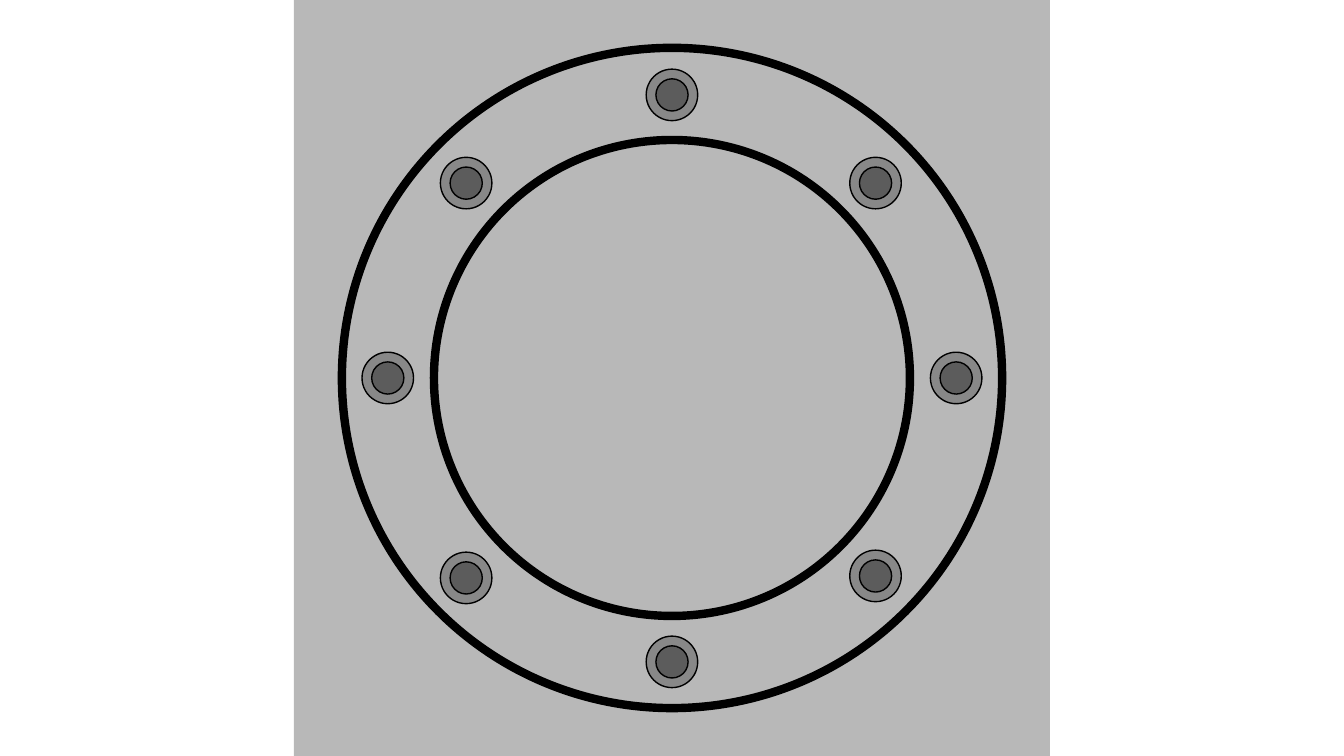
from pptx import Presentation
from pptx.dml.color import RGBColor
from pptx.enum.shapes import MSO_SHAPE
from pptx.util import Pt

PLATE_GREY = RGBColor(0xB8, 0xB8, 0xB8)
BOLT_GREY = RGBColor(0x88, 0x88, 0x88)
SOCKET_GREY = RGBColor(0x5C, 0x5C, 0x5C)
BLACK = RGBColor(0x00, 0x00, 0x00)

SLIDE_WIDTH, SLIDE_HEIGHT = 960, 540
CENTER_X, CENTER_Y = SLIDE_WIDTH / 2, SLIDE_HEIGHT / 2
RING_DIAMETERS = (471.6, 340)
BOLT_DIAMETER, SOCKET_DIAMETER = 36.8, 23

# Bolt centres, measured from the centre of the flange
BOLT_OFFSETS = (
    (0, -202.2), (0, 202.8), (203, 0), (-203, 0),
    (145.4, 141.4), (145.4, -139.2), (-147, -139.2), (-147, 142.8),
)


def add_centered(shapes, kind, x, y, size, fill=None, line_width=None):
    """Add a shape of equal width and height around the point (x, y)."""
    shape = shapes.add_shape(
        kind, Pt(x - size / 2), Pt(y - size / 2), Pt(size), Pt(size))
    shape.shadow.inherit = False
    if fill is None:
        shape.fill.background()
    else:
        shape.fill.solid()
        shape.fill.fore_color.rgb = fill
    if line_width is None:
        shape.line.fill.background()
    else:
        shape.line.color.rgb = BLACK
        shape.line.width = Pt(line_width)
    return shape


def add_bolt(slide, x, y):
    """Add a grouped bolt head with its darker socket."""
    group = slide.shapes.add_group_shape()
    for size, fill in ((BOLT_DIAMETER, BOLT_GREY), (SOCKET_DIAMETER, SOCKET_GREY)):
        add_centered(group.shapes, MSO_SHAPE.OVAL, x, y, size, fill, line_width=1)


def main():
    presentation = Presentation()
    presentation.slide_width = Pt(SLIDE_WIDTH)
    presentation.slide_height = Pt(SLIDE_HEIGHT)
    slide = presentation.slides.add_slide(presentation.slide_layouts[6])

    # Square plate
    add_centered(slide.shapes, MSO_SHAPE.RECTANGLE, CENTER_X, CENTER_Y,
                 SLIDE_HEIGHT, PLATE_GREY)

    # Flange rings
    for diameter in RING_DIAMETERS:
        add_centered(slide.shapes, MSO_SHAPE.OVAL, CENTER_X, CENTER_Y,
                     diameter, line_width=6)

    # Bolts
    for offset_x, offset_y in BOLT_OFFSETS:
        add_bolt(slide, CENTER_X + offset_x, CENTER_Y + offset_y)

    presentation.save("out.pptx")


if __name__ == "__main__":
    main()
